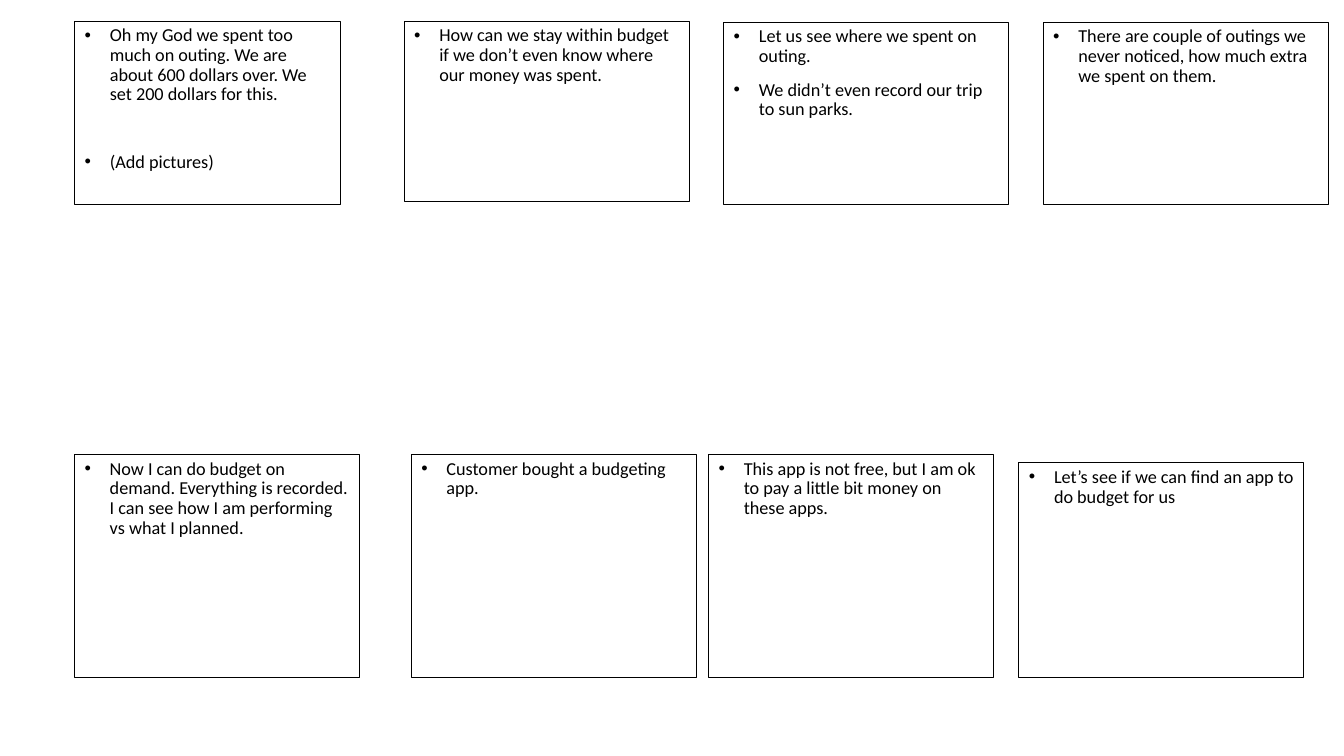
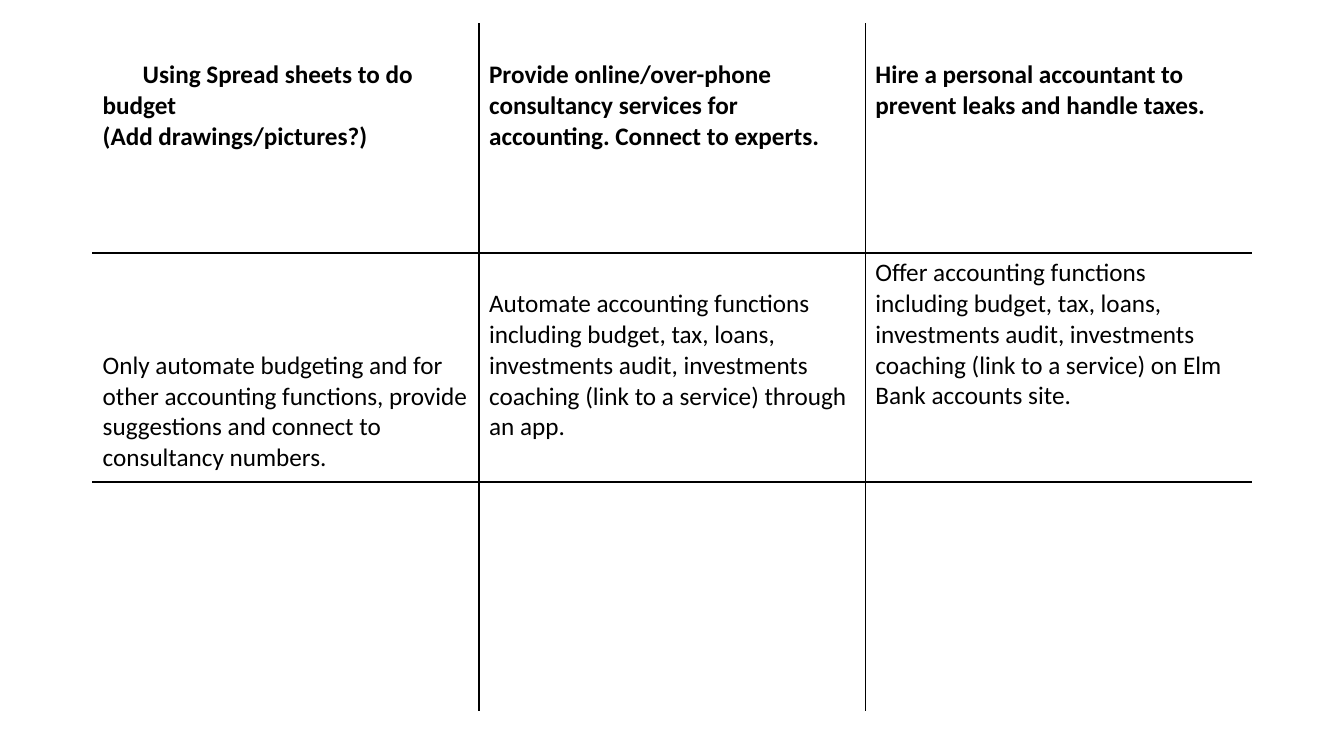
from pptx import Presentation
from pptx.dml.color import RGBColor
from pptx.enum.text import MSO_ANCHOR, MSO_AUTO_SIZE, PP_ALIGN
from pptx.oxml.ns import qn
from pptx.util import Pt
from lxml.etree import SubElement

COLORS = {"ink": "000000", "paper": "FFFFFF"}
FONT = "Calibri"
CONTENT_LAYOUT, BLANK_LAYOUT = 1, 6
INSET_X, INSET_Y = 7.2, 3.6
TABLE_LINE = 22  # height of one line of table text


def color(name):
    return RGBColor.from_string(COLORS[name])


def write(paragraph, text, size=18, bold=False, bullet=False,
          left=0, first=0, before=0, spacing=1.0):
    """Fill one paragraph; lengths are in points."""
    properties = paragraph._p.get_or_add_pPr()
    properties.set("marL", str(Pt(left)))
    properties.set("indent", str(Pt(first)))
    if bullet:
        SubElement(properties, qn("a:buFont"), typeface="Arial")
        SubElement(properties, qn("a:buChar"), char="•")
    paragraph.alignment = PP_ALIGN.LEFT
    paragraph.line_spacing = spacing
    paragraph.space_before = Pt(before)
    paragraph.space_after = Pt(0)
    run = paragraph.add_run()
    run.text = text
    run.font.name = FONT
    run.font.size = Pt(size)
    run.font.bold = bold
    run.font.color.rgb = color("ink")


class Deck:
    def __init__(self, width, height):
        self.presentation = Presentation()
        self.presentation.slide_width = Pt(width)
        self.presentation.slide_height = Pt(height)
        self.slide = None

    def new_slide(self, layout):
        layouts = self.presentation.slide_layouts
        self.slide = self.presentation.slides.add_slide(layouts[layout])
        title = self.slide.shapes.title
        if title is not None:
            title._element.getparent().remove(title._element)

    def card(self, left, top, width, height, lines, gap=10, holder=None):
        """Outlined box with a bulleted list, in a placeholder if given."""
        bounds = [Pt(value) for value in (left, top, width, height)]
        box = holder or self.slide.shapes.add_textbox(*bounds)
        box.left, box.top, box.width, box.height = bounds
        box.fill.background()
        box.line.color.rgb = color("ink")
        box.line.width = Pt(0.75)
        frame = box.text_frame
        frame.word_wrap = True
        frame.auto_size = MSO_AUTO_SIZE.NONE
        frame.vertical_anchor = MSO_ANCHOR.TOP
        frame.margin_left = frame.margin_right = Pt(INSET_X)
        frame.margin_top = frame.margin_bottom = Pt(INSET_Y)
        for number, line in enumerate(lines):
            paragraph = frame.add_paragraph() if number else frame.paragraphs[0]
            write(paragraph, line, size=13, bullet=True, left=18, first=-18,
                  before=gap if number else 0, spacing=0.9)

    def grid(self, left, top, width, height, rows):
        """Table ruled on its inside only; a cell is (lines, lines skipped, indent)."""
        row_count, column_count = len(rows), len(rows[0])
        table = self.slide.shapes.add_table(
            row_count, column_count, Pt(left), Pt(top), Pt(width), Pt(height)).table
        for r, row in enumerate(rows):
            for c, (lines, skipped, indent) in enumerate(row):
                cell = table.cell(r, c)
                outer = {"lnL": c == 0, "lnR": c == column_count - 1,
                         "lnT": r == 0, "lnB": r == row_count - 1}
                self.cell_borders(cell, outer)
                cell.fill.solid()
                cell.fill.fore_color.rgb = color("paper")
                cell.vertical_anchor = MSO_ANCHOR.TOP
                cell.margin_left = cell.margin_right = Pt(INSET_X)
                cell.margin_top = Pt(INSET_Y + skipped * TABLE_LINE)
                cell.margin_bottom = Pt(INSET_Y)
                frame = cell.text_frame
                for number, line in enumerate(lines):
                    paragraph = frame.add_paragraph() if number else frame.paragraphs[0]
                    write(paragraph, line, bold=r == 0, first=0 if number else indent)

    def cell_borders(self, cell, outer):
        properties = cell._tc.get_or_add_tcPr()
        for edge, is_outer in outer.items():
            line = SubElement(properties, qn("a:" + edge), w=str(Pt(1)))
            fill = SubElement(line, qn("a:solidFill"))
            SubElement(fill, qn("a:srgbClr"), val=COLORS["paper" if is_outer else "ink"])

    def save(self):
        self.presentation.save("out.pptx")


def storyboard(deck):
    deck.new_slide(CONTENT_LAYOUT)

    # Top row: the problem, opening in the body placeholder
    deck.card(53.3, 15.1, 190, 131, [
        "Oh my God we spent too much on outing. We are about 600 dollars over. "
        "We set 200 dollars for this.",
        "(Add pictures)"], gap=34, holder=deck.slide.placeholders[1])
    problem = [
        (288.7, 15.1, 129, ["How can we stay within budget if we don’t even know "
                            "where our money was spent."]),
        (517, 15.9, 130, ["Let us see where we spent on outing.",
                          "We didn’t even record our trip to sun parks."]),
        (745.2, 15.9, 130, ["There are couple of outings we never noticed, "
                            "how much extra we spent on them."]),
    ]
    # Bottom row: the solution
    solution = [
        (53.3, 324.7, 159, ["Now I can do budget on demand. Everything is recorded. "
                            "I can see how I am performing vs what I planned."]),
        (293.8, 324.7, 159, ["Customer bought a budgeting app."]),
        (506.2, 324.7, 159, ["This app is not free, but I am ok to pay a little bit "
                             "money on these apps."]),
        (727.8, 330.7, 153, ["Let’s see if we can find an app to do budget for us"]),
    ]
    for left, top, height, lines in problem + solution:
        deck.card(left, top, 203.5, height, lines)


def options(deck):
    deck.new_slide(BLANK_LAYOUT)
    services = "accounting functions including budget, tax, loans, " \
               "investments audit, investments coaching (link to a service)"
    empty = ([], 0, 0)
    deck.grid(66.2, 17, 828, 491, [
        [(["Using Spread sheets to do budget", "(Add drawings/pictures?)"], 1, 28.5),
         (["Provide online/over-phone consultancy services for accounting. "
           "Connect to experts."], 1, 0),
         (["Hire a personal accountant to prevent leaks and handle taxes."], 1, 0)],
        [(["Only automate budgeting and for other accounting functions, provide "
           "suggestions and connect to consultancy numbers."], 3, 0),
         ([f"Automate {services} through an app."], 1, 0),
         ([f"Offer {services} on Elm Bank accounts site."], 0, 0)],
        [empty] * 3,
    ])


def main():
    deck = Deck(960, 540)
    storyboard(deck)
    options(deck)
    deck.save()


if __name__ == "__main__":
    main()
